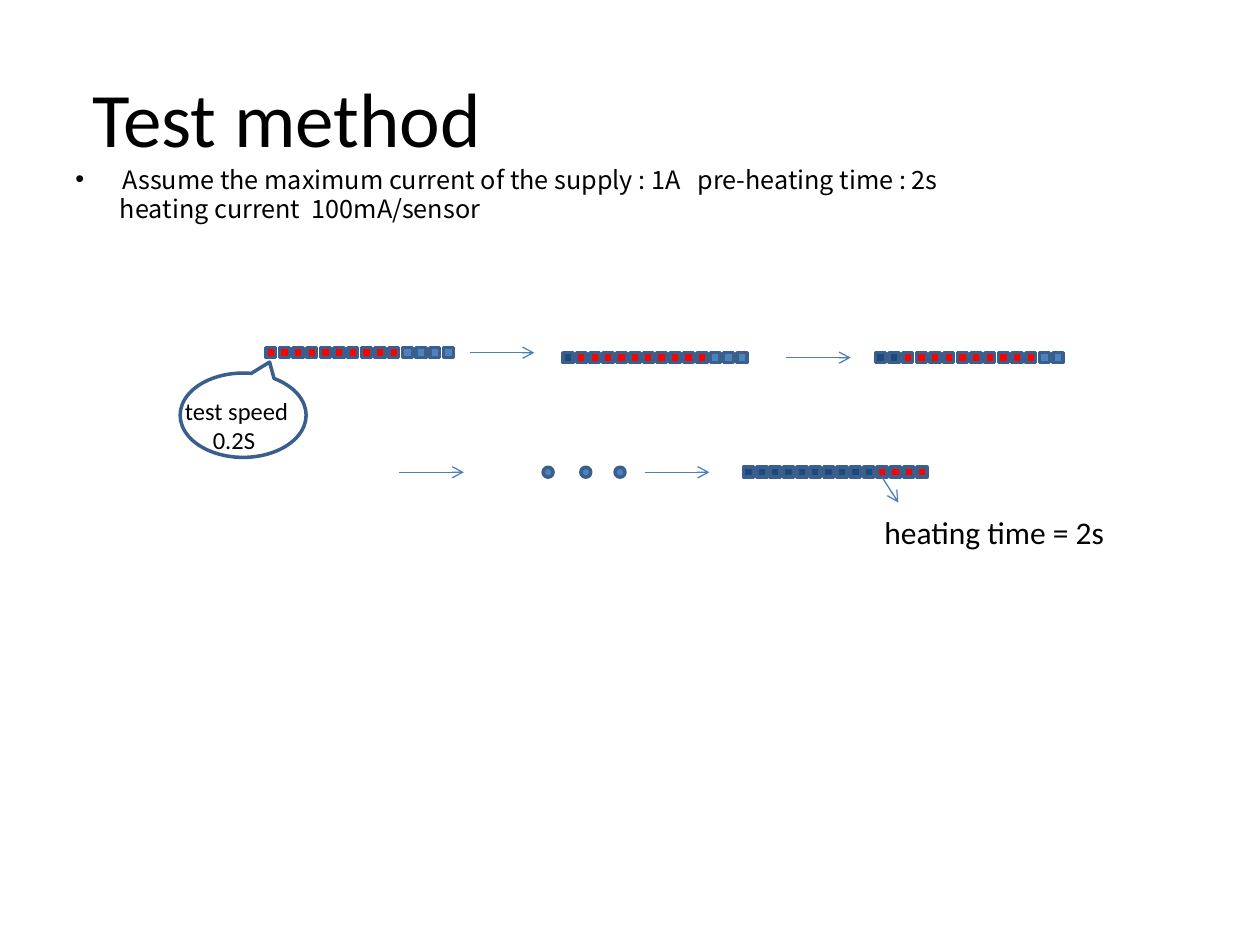
from lxml import etree
from pptx import Presentation
from pptx import util as u
from pptx.dml.color import RGBColor
from pptx.enum import shapes, text
from pptx.oxml.ns import qn

HOT, READY, TESTED = "FF0000", "4F81BD", "1F497D"
CELL = 0.2


def color(value):
    return RGBColor.from_string(value)


class Deck:
    """Holds the style and the current slide; all lengths are in cm."""

    font, body_font = "Calibri", "Noto Sans CJK SC"
    ink, outline, arrow_color = "000000", "3A5F8C", "4B7EBC"

    def __init__(self, width, height):
        self.prs = Presentation()
        self.prs.slide_width, self.prs.slide_height = u.Cm(width), u.Cm(height)
        self.s = self.prs.slides.add_slide(self.prs.slide_layouts[6])

    def text(self, x, y, w, h, lines, size, font=None, anchor=text.MSO_ANCHOR.TOP):
        sp = self.s.shapes.add_textbox(u.Cm(x), u.Cm(y), u.Cm(w), u.Cm(h))
        tf = sp.text_frame
        tf.word_wrap = True
        tf.vertical_anchor = anchor
        for i, line in enumerate(lines):
            p = tf.add_paragraph() if i else tf.paragraphs[0]
            r = p.add_run()
            r.text = line
            r.font.size = u.Pt(size)
            r.font.name = font or self.font
            r.font.color.rgb = color(self.ink)
        return tf.paragraphs

    def indent(self, p, left, first=0, bullet=None):
        pPr = p._p.get_or_add_pPr()
        pPr.set("marL", str(u.Cm(left)))
        pPr.set("indent", str(u.Cm(first)))
        if bullet:
            etree.SubElement(pPr, qn("a:buFont")).set("typeface", "Arial")
            etree.SubElement(pPr, qn("a:buChar")).set("char", bullet)

    def shape(self, kind, x, y, w, h, fill=None):
        sp = self.s.shapes.add_shape(kind, u.Cm(x), u.Cm(y), u.Cm(w), u.Cm(h))
        sp.shadow.inherit = False
        if fill:
            sp.fill.solid()
            sp.fill.fore_color.rgb = color(fill)
        else:
            sp.fill.background()
        sp.line.color.rgb = color(self.outline)
        sp.line.width = u.Pt(2)
        return sp

    def sensor_bar(self, first, last, y, *groups):
        """Spread cells evenly from first to last; groups are (count, fill)."""
        fills = [fill for count, fill in groups for _ in range(count)]
        pitch = (last - first) / (len(fills) - 1)
        return [self.shape(shapes.MSO_SHAPE.RECTANGLE, first + i * pitch, y, CELL, CELL, fill)
                for i, fill in enumerate(fills)]

    def dot(self, x, y):
        return self.shape(shapes.MSO_SHAPE.OVAL, x, y, CELL, CELL, READY)

    def callout(self, x, y, w, h, tip):
        sp = self.shape(shapes.MSO_SHAPE.OVAL_CALLOUT, x, y, w, h)
        sp.rotation = 180
        sp.adjustments[0], sp.adjustments[1] = tip
        return sp

    def arrow(self, x1, y1, x2, y2, start=None):
        c = self.s.shapes.add_connector(
            shapes.MSO_CONNECTOR.STRAIGHT, u.Cm(x1), u.Cm(y1), u.Cm(x2), u.Cm(y2))
        if start is not None:
            c.begin_connect(start, 2)
        c.line.color.rgb = color(self.arrow_color)
        c.line.width = u.Pt(0.75)
        etree.SubElement(c.line._get_or_add_ln(), qn("a:tailEnd")).set("type", "arrow")
        etree.SubElement(c._element.spPr, qn("a:effectLst"))
        return c


def main():
    d = Deck(25.4, 19.05)
    d.text(1.62, 0.76, 22.5, 3.18, ["Test method"], 44, anchor=text.MSO_ANCHOR.MIDDLE)
    assumption, current = d.text(1.27, 3.3, 22.86, 2.54, [
        "Assume the maximum current of the supply : 1A   pre-heating time : 2s",
        "heating current  100mA/sensor"], 14.4, d.body_font)
    for p in (assumption, current):
        p.line_spacing = 0.8
        p.space_before = u.Pt(2.9)
    d.indent(assumption, 0.95, -0.95, "•")
    d.indent(current, 0.9)

    # Ten heated sensors move along the bar
    d.sensor_bar(5.36, 8.94, 7.01, (10, HOT), (4, READY))
    d.sensor_bar(11.35, 14.86, 7.11, (1, TESTED), (10, HOT), (3, READY))
    d.sensor_bar(17.65, 21.23, 7.11, (2, TESTED), (10, HOT), (2, READY))
    last_bar = d.sensor_bar(14.99, 18.49, 9.42, (10, TESTED), (4, HOT))

    for x, y in ((9.47, 7.11), (15.85, 7.21), (8.05, 9.52), (13, 9.52)):
        d.arrow(x, y, x + 1.3, y)
    for x in (10.95, 11.71, 12.4):
        d.dot(x, 9.42)

    d.callout(3.63, 7.52, 2.54, 1.7, (-0.21, 0.63))
    speed = d.text(3.48, 7.85, 4.62, 1.45, ["test speed", "0.2S"], 14)
    d.indent(speed[1], 0.56)

    d.arrow(17.8, 9.62, 18.11, 10.13, start=last_bar[10])
    d.text(17.58, 10.21, 5.33, 1.02, ["heating time = 2s"], 18)
    d.prs.save("out.pptx")


if __name__ == "__main__":
    main()
